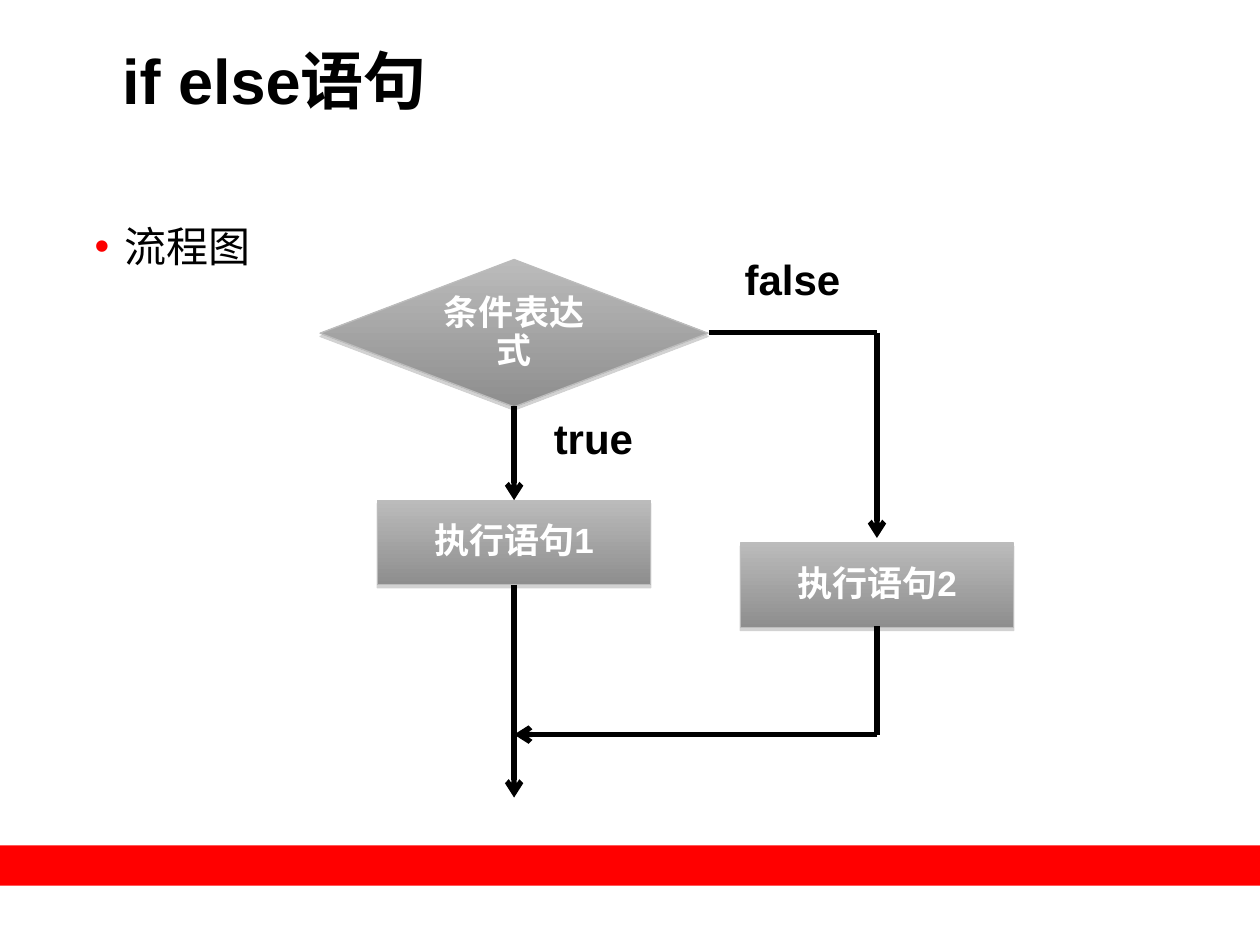
from lxml import etree
from pptx import Presentation
from pptx.dml.color import RGBColor
from pptx.enum.shapes import MSO_CONNECTOR as Connector, MSO_SHAPE as Shape
from pptx.enum.text import MSO_ANCHOR as Anchor, MSO_AUTO_SIZE as AutoSize, PP_ALIGN as Align
from pptx.oxml import parse_xml
from pptx.oxml.ns import nsdecls, qn
from pptx.util import Inches, Pt

BLACK = RGBColor(0x00, 0x00, 0x00)
WHITE = RGBColor(0xFF, 0xFF, 0xFF)
RED = RGBColor(0xFF, 0x00, 0x00)
BULLET_RED = RGBColor(0xFD, 0x00, 0x00)
LIGHT_GRAY = RGBColor(0xBB, 0xBB, 0xBB)
DARK_GRAY = RGBColor(0x8E, 0x8E, 0x8E)
BORDER_GRAY = RGBColor(0xBC, 0xBC, 0xBC)
SHADOW_GRAY = RGBColor(0x80, 0x80, 0x80)

LEFT_X, RIGHT_X = 4.08, 6.96
DECISION_Y, MERGE_Y = 2.64, 5.83


def place(shape, left, top, width, height):
    shape.left, shape.top = Inches(left), Inches(top)
    shape.width, shape.height = Inches(width), Inches(height)


def write(shape, text, size, color, bold=True, align=Align.CENTER, anchor=Anchor.TOP, spacing=0.9):
    frame = shape.text_frame
    frame.text = text
    frame.word_wrap = True
    frame.auto_size = AutoSize.NONE
    frame.vertical_anchor = anchor
    paragraph = frame.paragraphs[0]
    paragraph.alignment = align
    paragraph.line_spacing = spacing
    paragraph.space_before = Pt(0)
    font = paragraph.runs[0].font
    font.name, font.size, font.bold = "Arial", Pt(size), bold
    font.color.rgb = color


presentation = Presentation()
presentation.slide_width, presentation.slide_height = Inches(10), Inches(7.5)
slide = presentation.slides.add_slide(presentation.slide_layouts[1])
shapes = slide.shapes
title, body = slide.placeholders

band = shapes.add_shape(Shape.RECTANGLE, 0, Inches(6.71), Inches(10), Inches(0.32))
band.shadow.inherit = False
band.fill.solid()
band.fill.fore_color.rgb = RED
band.line.fill.background()

place(title, 0.97, 0.33, 8.29, 1.03)
place(body, 0.75, 1.75, 8.24, 4.75)
for placeholder in (title, body):
    frame = placeholder.text_frame
    frame.margin_left = frame.margin_right = frame.margin_top = frame.margin_bottom = 0
write(title, "if else语句", 36, BLACK, align=Align.LEFT, spacing=1.0)
write(body, "流程图", 24, BLACK, bold=False, align=Align.LEFT, spacing=1.0)

properties = body.text_frame.paragraphs[0]._p.get_or_add_pPr()
properties.set("marL", str(Inches(0.24)))
properties.set("indent", str(-Inches(0.24)))
bullet_color = etree.SubElement(properties, qn("a:buClr"))
etree.SubElement(bullet_color, qn("a:srgbClr")).set("val", str(BULLET_RED))
etree.SubElement(properties, qn("a:buFont")).set("typeface", "Arial")
etree.SubElement(properties, qn("a:buChar")).set("char", "•")

steps = [
    (Shape.FLOWCHART_DECISION, "条件表达式", LEFT_X, 2.06, 3.08, 1.17),
    (Shape.RECTANGLE, "执行语句1", LEFT_X, 3.97, 2.17, 0.67),
    (Shape.RECTANGLE, "执行语句2", RIGHT_X, 4.31, 2.17, 0.67),
]
for kind, text, center, top, width, height in steps:
    step = shapes.add_shape(kind, 0, 0, 0, 0)
    place(step, center - width / 2, top, width, height)
    step.fill.gradient()
    step.fill.gradient_angle = 270
    for stop, position, color in zip(step.fill.gradient_stops, (0, 1), (LIGHT_GRAY, DARK_GRAY)):
        stop.position = position
        stop.color.rgb = color
    step.line.color.rgb = BORDER_GRAY
    step.line.width = Pt(0.75)
    step._element.spPr.append(parse_xml(
        f'<a:effectLst {nsdecls("a")}><a:outerShdw dist="{Pt(1.8)}" dir="5400000">'
        f'<a:srgbClr val="{SHADOW_GRAY}"><a:alpha val="35000"/></a:srgbClr>'
        '</a:outerShdw></a:effectLst>'))
    write(step, text, 20, WHITE, anchor=Anchor.MIDDLE)

for text, left, top, height in [("true", 4.21, 3.27, 1), ("false", 5.79, 2.01, 0.5)]:
    label = shapes.add_textbox(Inches(left), Inches(top), Inches(1), Inches(height))
    write(label, text, 24, BLACK)

flows = [
    (LEFT_X, 3.22, LEFT_X, 3.97, 3, "arrow"),
    (5.63, DECISION_Y, RIGHT_X, DECISION_Y, 3, None),
    (RIGHT_X, DECISION_Y, RIGHT_X, 4.27, 3, "arrow"),
    (LEFT_X, 4.64, LEFT_X, 6.33, 3, "arrow"),
    (RIGHT_X, 4.97, RIGHT_X, MERGE_Y, 3, None),
    (RIGHT_X, MERGE_Y, RIGHT_X, MERGE_Y, 0.75, "triangle"),
    (RIGHT_X, MERGE_Y, LEFT_X, MERGE_Y, 3, "arrow"),
]
for start_x, start_y, end_x, end_y, weight, arrowhead in flows:
    flow = shapes.add_connector(
        Connector.STRAIGHT, Inches(start_x), Inches(start_y), Inches(end_x), Inches(end_y))
    flow.line.color.rgb = BLACK
    flow.line.width = Pt(weight)
    if arrowhead:
        etree.SubElement(flow.line._get_or_add_ln(), qn("a:tailEnd")).set("type", arrowhead)
    etree.SubElement(flow._element.spPr, qn("a:effectLst"))

presentation.save("out.pptx")
